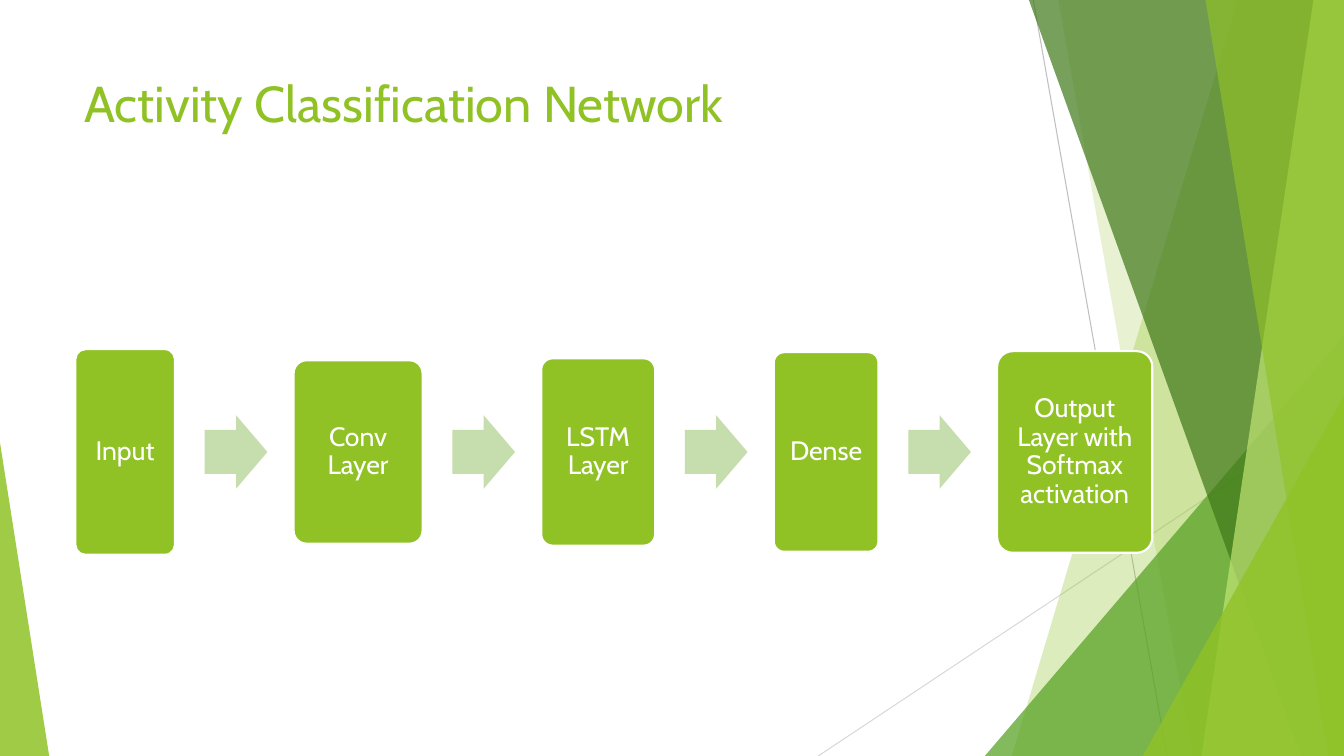
from dataclasses import dataclass
from typing import Union

import lxml.etree
import pptx
import pptx.dml.color
import pptx.enum.shapes
import pptx.enum.text
import pptx.oxml.ns
import pptx.shapes.autoshape
import pptx.slide
import pptx.util

Cm = pptx.util.Cm
Pt = pptx.util.Pt
MSO_SHAPE = pptx.enum.shapes.MSO_SHAPE
qn = pptx.oxml.ns.qn


@dataclass(frozen=True)
class Theme:
    font: str = "Cabin"
    title_size: int = 36
    label_size: int = 19
    white: str = "FFFFFF"
    green: str = "90C226"
    mid_green: str = "54A021"
    dark_green: str = "3F7819"
    lime: str = "C0E474"
    arrow: str = "C6DDAD"
    dark_rule: str = "BFBFBF"
    light_rule: str = "D9D9D9"


@dataclass(frozen=True)
class Rule:
    x1: float
    y1: float
    x2: float
    y2: float
    color: str


@dataclass(frozen=True)
class Facet:
    """Panel with a slanted left edge that reaches the right slide edge."""
    top_x: float
    bottom_x: float
    color: str
    opacity: int


@dataclass(frozen=True)
class Wedge:
    """Right triangle standing on the bottom slide edge."""
    left: float
    top: float
    width: float
    apex: float
    color: str
    opacity: int


@dataclass(frozen=True)
class Layer:
    label: str
    width: float
    height: float


THEME = Theme()
SLIDE_W, SLIDE_H = 33.87, 19.05

RULES = [
    Rule(26.04, 0, 29.41, SLIDE_H, THEME.dark_rule),
    Rule(SLIDE_W, 10.24, 20.62, SLIDE_H, THEME.light_rule),
]
DECOR: list[Union[Facet, Wedge]] = [
    Facet(31.19, 25.5, THEME.green, 30),
    Facet(26.67, 30.05, THEME.green, 20),
    Wedge(24.82, 8.46, 9.05, 1, THEME.mid_green, 72),
    Facet(25.93, 32.79, THEME.dark_green, 70),
    Facet(33.1, 30.28, THEME.lime, 70),
    Facet(30.38, 33.48, THEME.green, 65),
    Wedge(28.8, 9.98, 5.07, 1, THEME.green, 80),
    Wedge(0, 11.15, 1.24, 0, THEME.green, 85),
]
LAYERS = [
    Layer("Input", 2.51, 5.18),
    Layer("Conv Layer", 3.25, 4.62),
    Layer("LSTM Layer", 2.87, 4.72),
    Layer("Dense", 2.64, 5.03),
    Layer("Output Layer with Softmax activation", 3.91, 5.08),
]
FLOW_LEFT, FLOW_MIDDLE = 1.9, 11.39
ARROW_W, ARROW_H = 1.58, 1.85
GAP_BEFORE, GAP_AFTER = 0.75, 0.66


def rgb(color: str) -> pptx.dml.color.RGBColor:
    return pptx.dml.color.RGBColor.from_string(color)


def paint(sp: pptx.shapes.autoshape.Shape, color: str, opacity: int = 100) -> None:
    """Solid fill, no outline, no shadow."""
    sp.shadow.inherit = False
    sp.line.fill.background()
    sp.fill.solid()
    sp.fill.fore_color.rgb = rgb(color)
    if opacity < 100:
        clr = sp._element.spPr.find(qn("a:solidFill"))[0]
        lxml.etree.SubElement(clr, qn("a:alpha")).set("val", str(opacity * 1000))


def style_text(p, size: int, color: str) -> None:
    for r in p.runs:
        r.font.name = THEME.font
        r.font.size = Pt(size)
        r.font.color.rgb = rgb(color)


def draw_rule(s: pptx.slide.Slide, rule: Rule) -> None:
    line = s.shapes.add_connector(
        pptx.enum.shapes.MSO_CONNECTOR.STRAIGHT,
        Cm(rule.x1), Cm(rule.y1), Cm(rule.x2), Cm(rule.y2))
    line.line.width = Pt(0.75)
    line.line.color.rgb = rgb(rule.color)
    lxml.etree.SubElement(line._element.spPr, qn("a:effectLst"))


def draw_decor(s: pptx.slide.Slide, item: Union[Facet, Wedge]) -> None:
    if isinstance(item, Facet):
        fb = s.shapes.build_freeform(Cm(item.top_x), 0)
        fb.add_line_segments([(Cm(SLIDE_W), 0), (Cm(SLIDE_W), Cm(SLIDE_H)),
                              (Cm(item.bottom_x), Cm(SLIDE_H))])
        sp = fb.convert_to_shape()
    else:
        sp = s.shapes.add_shape(
            MSO_SHAPE.ISOSCELES_TRIANGLE, Cm(item.left), Cm(item.top),
            Cm(item.width), Cm(SLIDE_H - item.top))
        sp.adjustments[0] = item.apex
    paint(sp, item.color, item.opacity)


def draw_title(s: pptx.slide.Slide, text: str) -> None:
    tf = s.shapes.add_textbox(Cm(1.88), Cm(1.7), Cm(23.88), Cm(3.66)).text_frame
    tf.word_wrap = True
    tf.text = text
    style_text(tf.paragraphs[0], THEME.title_size, THEME.green)


def draw_layer(s: pptx.slide.Slide, layer: Layer, left: float) -> None:
    sp = s.shapes.add_shape(
        MSO_SHAPE.ROUNDED_RECTANGLE, Cm(left), Cm(FLOW_MIDDLE - layer.height / 2),
        Cm(layer.width), Cm(layer.height))
    sp.adjustments[0] = 0.1
    paint(sp, THEME.green)
    sp.line.color.rgb = rgb(THEME.white)
    sp.line.width = Pt(1.5)
    tf = sp.text_frame
    tf.word_wrap = True
    tf.vertical_anchor = pptx.enum.text.MSO_ANCHOR.MIDDLE
    tf.margin_left = tf.margin_right = tf.margin_top = tf.margin_bottom = Cm(0.2)
    tf.text = layer.label
    p = tf.paragraphs[0]
    p.alignment = pptx.enum.text.PP_ALIGN.CENTER
    p.line_spacing = 0.9
    style_text(p, THEME.label_size, THEME.white)


def draw_arrow(s: pptx.slide.Slide, left: float) -> None:
    sp = s.shapes.add_shape(
        MSO_SHAPE.RIGHT_ARROW, Cm(left), Cm(FLOW_MIDDLE - ARROW_H / 2),
        Cm(ARROW_W), Cm(ARROW_H))
    sp.adjustments[0] = 0.6
    sp.adjustments[1] = 0.5
    paint(sp, THEME.arrow)


def main() -> None:
    prs = pptx.Presentation()
    prs.slide_width, prs.slide_height = Cm(SLIDE_W), Cm(SLIDE_H)
    s = prs.slides.add_slide(prs.slide_layouts[6])

    # Background decoration
    for rule in RULES:
        draw_rule(s, rule)
    for item in DECOR:
        draw_decor(s, item)

    draw_title(s, "Activity Classification Network")

    # Network layers, left to right, with an arrow between neighbours
    x = FLOW_LEFT
    for i, layer in enumerate(LAYERS):
        if i > 0:
            draw_arrow(s, x + GAP_BEFORE)
            x += GAP_BEFORE + ARROW_W + GAP_AFTER
        draw_layer(s, layer, x)
        x += layer.width

    prs.save("out.pptx")


if __name__ == "__main__":
    main()
